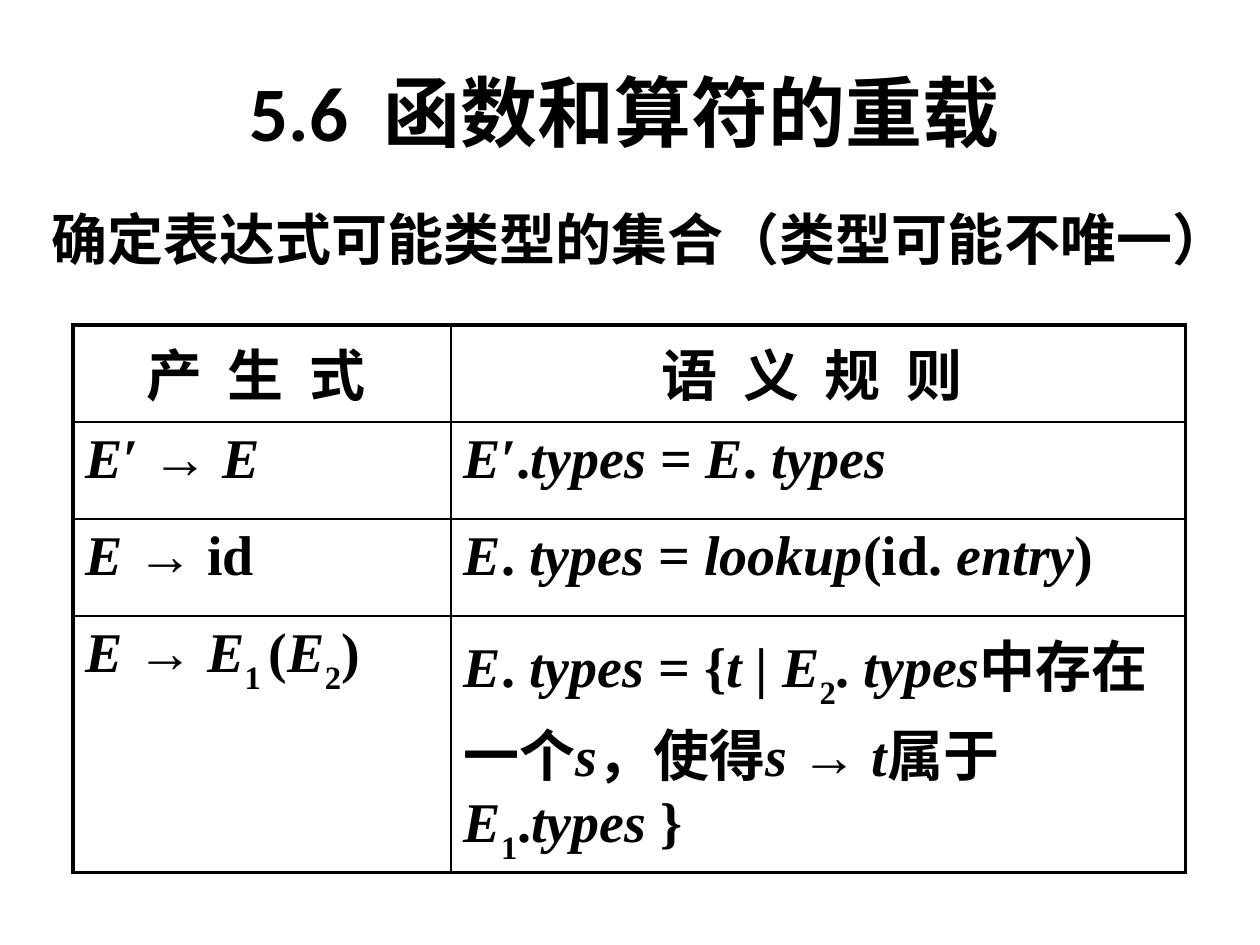
from typing import NamedTuple

from pptx import Presentation
from pptx.dml.color import RGBColor
from pptx.enum.text import MSO_ANCHOR, MSO_AUTO_SIZE, PP_ALIGN
from pptx.oxml.ns import qn
from pptx.util import Inches, Pt
from lxml.etree import SubElement

COLORS = {"ink": "000000", "paper": "FFFFFF"}
LATIN, SERIF, CJK = "Calibri", "Times New Roman", "Noto Sans CJK SC"
OUTER, INNER = 2.25, 1


class Run(NamedTuple):
    text: str
    font: str = SERIF
    italic: bool = False
    sub: bool = False


def it(text: str) -> Run:
    return Run(text, italic=True)


def sub(text: str) -> Run:
    return Run(text, sub=True)


def zh(text: str) -> Run:
    return Run(text, CJK)


HEADER = [[zh("产  生  式 ")], [zh("语  义  规  则 ")]]
RULES = [
    [[it("E"), Run("′ → "), it("E")],
     [it("E"), Run("′."), it("types"), Run(" = "), it("E"), Run(". "), it("types")]],
    [[it("E "), Run("→ id")],
     [it("E"), Run(". "), it("types"), Run(" = "), it("lookup"), Run("(id. "),
      it("entry"), Run(")")]],
    [[it("E "), Run("→ "), it("E"), sub("1 "), Run("("), it("E"), sub("2"), Run(")")],
     [it("E"), Run(". "), it("types"), Run(" = {"), it("t"), Run(" | "), it("E"),
      sub("2"), Run(". "), it("types"), zh("中存在一个"), it("s"), zh("，使得"),
      it("s "), Run("→ "), it("t"), zh("属于"), it("E"), sub("1"), Run("."),
      it("types "), Run("}")]],
]


def add_runs(p, runs: list[Run], size: int = 32) -> None:
    for run in runs:
        r = p.add_run()
        r.text = run.text
        r.font.size = Pt(size)
        r.font.bold = True
        r.font.italic = run.italic
        r.font.name = run.font
        r.font.color.rgb = RGBColor.from_string(COLORS["ink"])
        rPr = r.font._element
        SubElement(rPr, qn("a:ea")).set("typeface", CJK)
        if run.sub:
            rPr.set("baseline", "-30000")


def place(sp, left: float, top: float, width: float, height: float) -> None:
    sp.left, sp.top = Inches(left), Inches(top)
    sp.width, sp.height = Inches(width), Inches(height)
    sp.text_frame.word_wrap = True
    sp.text_frame.auto_size = MSO_AUTO_SIZE.NONE


def set_borders(cell, widths: dict[str, float]) -> None:
    """Draw the cell's edges; they must come before its fill in the XML."""
    tcPr = cell._tc.get_or_add_tcPr()
    for side, width in widths.items():
        ln = SubElement(tcPr, qn(f"a:ln{side}"), w=str(Pt(width)))
        fill = SubElement(ln, qn("a:solidFill"))
        SubElement(fill, qn("a:srgbClr"), val=COLORS["ink"])


def add_rule_table(s, rows: list[list[list[Run]]]) -> None:
    widths, heights = [3, 5.83], [0.77, 0.77, 0.77, 1.7]
    frame = s.shapes.add_table(len(rows), len(widths), Inches(0.58), Inches(2.58),
                               Inches(sum(widths)), Inches(sum(heights)))
    table = frame.table
    table.first_row = table.horz_banding = False
    for col, width in zip(table.columns, widths):
        col.width = Inches(width)
    for row, height in zip(table.rows, heights):
        row.height = Inches(height)
    last_row, last_col = len(rows) - 1, len(widths) - 1
    for i, row in enumerate(rows):
        for j, runs in enumerate(row):
            cell = table.cell(i, j)
            set_borders(cell, {
                "L": OUTER if j == 0 else INNER,
                "R": OUTER if j == last_col else INNER,
                "T": OUTER if i == 0 else INNER,
                "B": OUTER if i == last_row else INNER,
            })
            cell.fill.background()
            p = cell.text_frame.paragraphs[0]
            p.alignment = PP_ALIGN.CENTER if i == 0 else PP_ALIGN.LEFT
            add_runs(p, runs)


def main() -> None:
    prs = Presentation()
    prs.slide_width, prs.slide_height = Inches(10), Inches(7.5)
    s = prs.slides.add_slide(prs.slide_layouts[1])
    s.background.fill.solid()
    s.background.fill.fore_color.rgb = RGBColor.from_string(COLORS["paper"])

    title, body = s.placeholders
    place(title, 0.25, 0.25, 9.42, 1.25)
    title.text_frame.vertical_anchor = MSO_ANCHOR.MIDDLE
    p = title.text_frame.paragraphs[0]
    p.alignment = PP_ALIGN.CENTER
    add_runs(p, [Run("5.6  ", LATIN), zh("函数和算符的重载")], 44)

    place(body, 0.31, 1.57, 9.6, 5.51)
    p = body.text_frame.paragraphs[0]
    p.space_before = Pt(0)
    pPr = p._p.get_or_add_pPr()
    pPr.set("marL", str(Inches(0.38)))
    pPr.set("indent", str(Inches(-0.38)))
    SubElement(pPr, qn("a:buNone"))
    add_runs(p, [Run("确定表达式可能类型的集合（类型可能不唯一）", LATIN)])

    add_rule_table(s, [HEADER, *RULES])
    prs.save("out.pptx")


if __name__ == "__main__":
    main()
